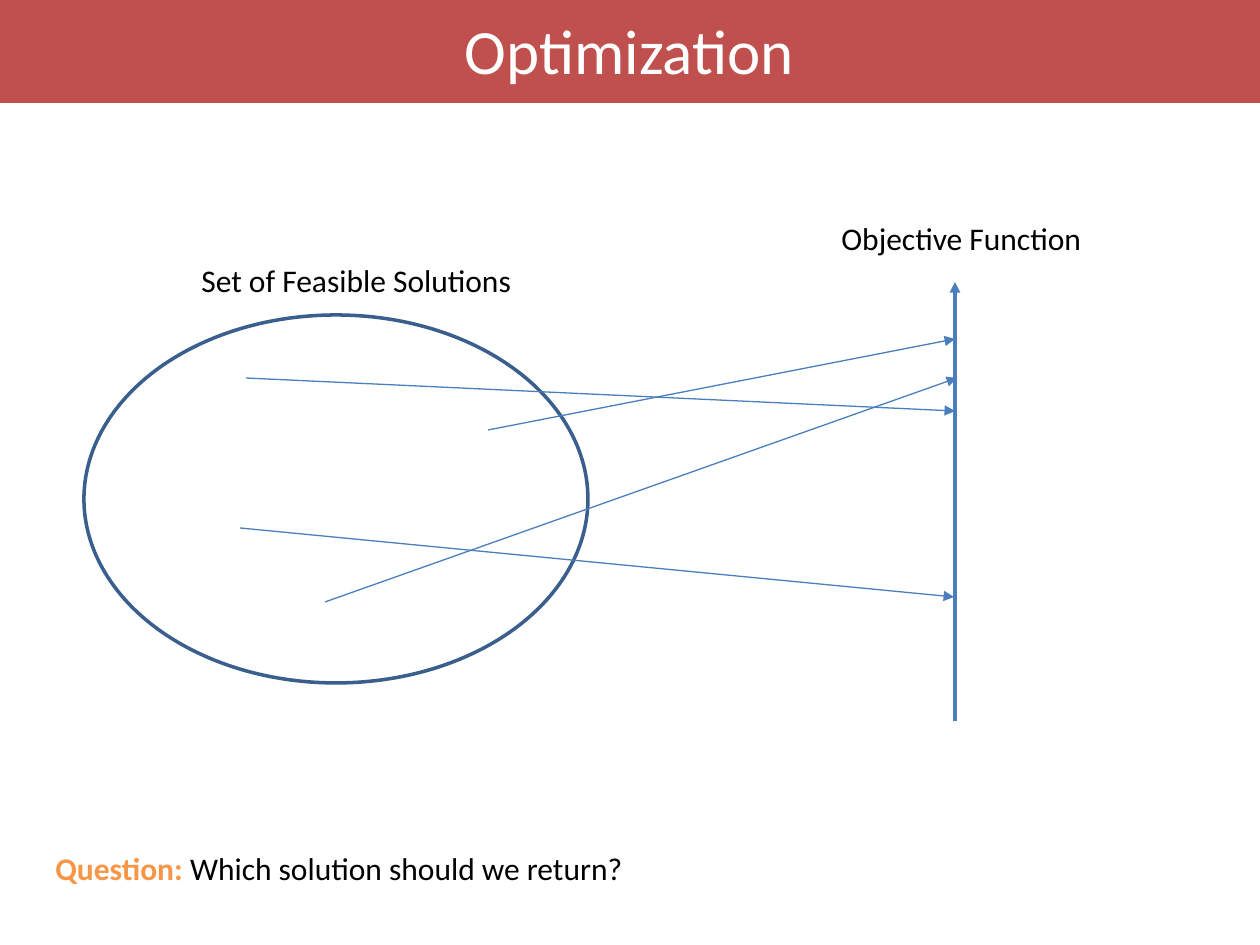
from lxml import etree
from pptx import Presentation
from pptx.dml.color import RGBColor
from pptx.enum.shapes import MSO_CONNECTOR, MSO_SHAPE
from pptx.enum.text import MSO_ANCHOR, MSO_AUTO_SIZE, PP_ALIGN
from pptx.oxml.ns import qn
from pptx.util import Pt

RECT, OVAL = MSO_SHAPE.RECTANGLE, MSO_SHAPE.OVAL
STRAIGHT = MSO_CONNECTOR.STRAIGHT
MIDDLE = MSO_ANCHOR.MIDDLE
CENTER = PP_ALIGN.CENTER
NO_FIT = MSO_AUTO_SIZE.NONE

FONT = "Calibri"
COLORS = {
    "banner": "C0504D",
    "title": "FFFFFF",
    "text": "000000",
    "oval": "3A5F8C",
    "arrow": "4B7EBC",
    "question": "F79646",
}


def px(n):
    return round(n * 914400 / 126)


def rgb(name):
    return RGBColor.from_string(COLORS[name])


def style(font, size, color):
    font.name = FONT
    font.size = Pt(size)
    font.color.rgb = rgb(color)


def add_label(s, x, y, w, runs):
    tf = s.shapes.add_textbox(px(x), px(y), px(w), px(50)).text_frame
    tf.word_wrap = True
    p = tf.paragraphs[0]
    p.font.name = FONT
    p.font.size = Pt(18)
    for text, color, bold in runs:
        r = p.add_run()
        r.text = text
        r.font.color.rgb = rgb(color)
        r.font.bold = bold


def add_arrow(s, x1, y1, x2, y2, width):
    arrow = s.shapes.add_connector(STRAIGHT, px(x1), px(y1), px(x2), px(y2))
    arrow.line.color.rgb = rgb("arrow")
    arrow.line.width = Pt(width)
    etree.SubElement(arrow.line._get_or_add_ln(), qn("a:tailEnd"), type="triangle")
    etree.SubElement(arrow.element.spPr, qn("a:effectLst"))


def add_header(s, x, y, w, h):
    banner = s.shapes.add_shape(RECT, px(x), px(y), px(w), px(h))
    banner.shadow.inherit = False
    banner.fill.solid()
    banner.fill.fore_color.rgb = rgb("banner")
    banner.line.fill.background()

    title = s.shapes.title
    title.element.addprevious(banner.element)
    title.left, title.top = px(x + 450), px(y + 5)
    title.width, title.height = px(359), px(89)
    tf = title.text_frame
    tf.text = "Optimization"
    tf.word_wrap = False
    tf.auto_size = NO_FIT
    tf.vertical_anchor = MIDDLE
    p = tf.paragraphs[0]
    p.alignment = CENTER
    style(p.font, 36, "title")


def add_solution_set(s, x, y, w, h):
    add_label(s, x + 105, y, 347, [("Set of Feasible Solutions", "text", False)])
    oval = s.shapes.add_shape(OVAL, px(x), px(y + 60), px(w), px(h - 60))
    oval.shadow.inherit = False
    oval.fill.background()
    oval.line.color.rgb = rgb("oval")
    oval.line.width = Pt(2)


def add_objective_axis(s, x, y, w, h):
    add_label(s, x, y, w, [("Objective Function", "text", False)])
    add_arrow(s, x + 126, y + h, x + 126, y + 69, 2)


def add_mappings(s, x, y):
    for x1, y1, x2, y2 in [
        (6, 39, 715, 72),
        (248, 91, 715, 0),
        (85, 263, 717, 39),
        (0, 189, 714, 258),
    ]:
        add_arrow(s, x + x1, y + y1, x + x2, y + y2, 0.75)


def main():
    prs = Presentation()
    prs.slide_width, prs.slide_height = px(1260), px(945)
    s = prs.slides.add_slide(prs.slide_layouts[5])
    add_header(s, 0, 0, 1260, 103)
    add_solution_set(s, 84, 255, 504, 428)
    add_objective_axis(s, 829, 213, 273, 508)
    add_mappings(s, 240, 339)
    add_label(s, 43, 843, 656, [
        ("Question: ", "question", True),
        ("Which solution should we return?", "text", False),
    ])
    prs.save("out.pptx")


if __name__ == "__main__":
    main()
